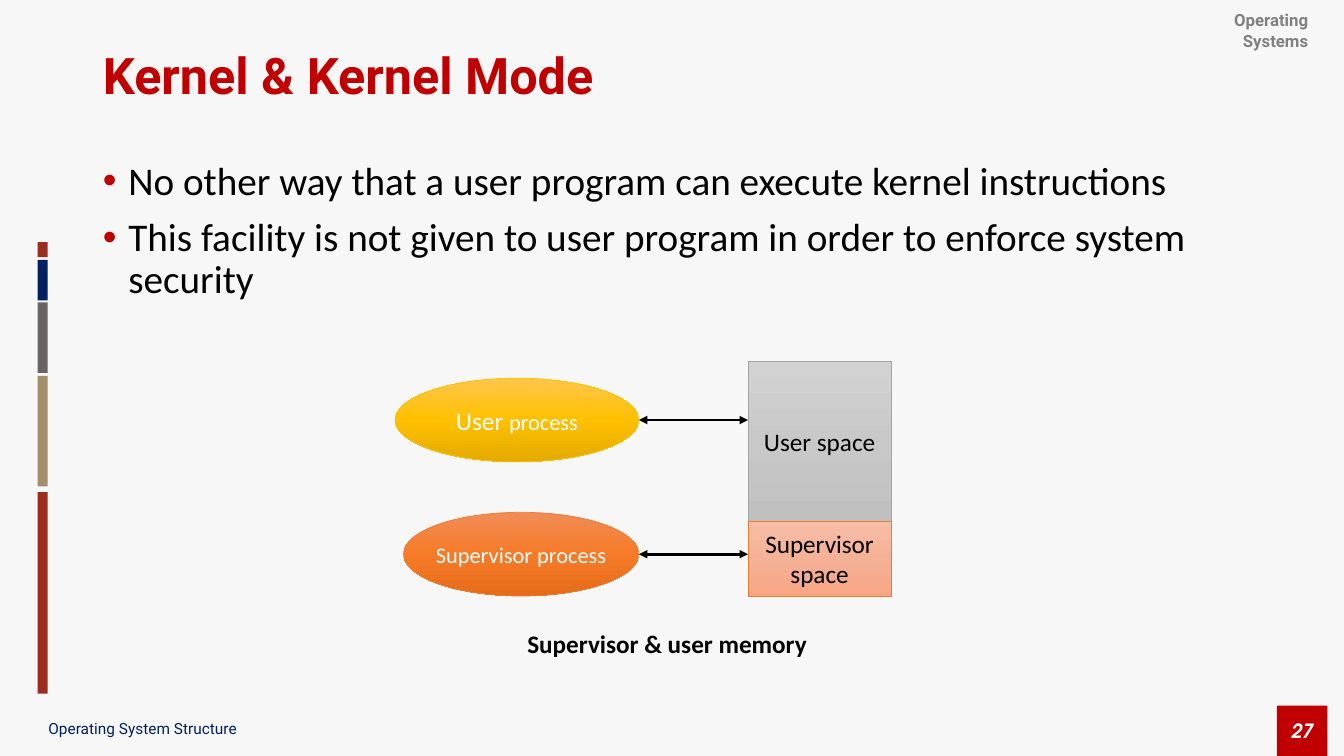
from dataclasses import dataclass

import pptx
import pptx.dml.color
import pptx.enum.shapes
import pptx.enum.text
import pptx.oxml.ns
import pptx.util
from lxml import etree

Cm = pptx.util.Cm
Pt = pptx.util.Pt
qn = pptx.oxml.ns.qn
Shape = pptx.enum.shapes.MSO_SHAPE
Align = pptx.enum.text.PP_ALIGN
Anchor = pptx.enum.text.MSO_ANCHOR


@dataclass(frozen=True)
class Theme:
    paper: str = "F7F7F7"
    ink: str = "000000"
    white: str = "FFFFFF"
    accent: str = "C00000"
    navy: str = "002060"
    muted: str = "808080"
    rust: str = "9B2D1F"
    sand: str = "A28E6A"
    stone: str = "696464"
    gray_line: str = "A5A5A5"
    orange_line: str = "ED7D31"
    gold_line: str = "FFC000"
    gray: tuple = ("D2D2D2", "C8C8C8", "C0C0C0")
    peach: tuple = ("F7BDA5", "F5B196", "F8A582")
    gold: tuple = ("FFC64B", "FFC000", "E3AB00")
    orange: tuple = ("F18C57", "F67B28", "E56C19")
    heading_font: str = "Roboto"
    body_font: str = "Calibri"
    number_font: str = "TeX Gyre Adventor"
    title: int = 36
    body: int = 28
    label: int = 18
    small_label: int = 16
    number: int = 14
    header: int = 12
    footer: int = 11


THEME = Theme()


def rgb(color):
    return pptx.dml.color.RGBColor.from_string(color)


def add_span(para, text, size, color, font=THEME.body_font, bold=False, italic=False):
    span = para.add_run()
    span.text = text
    span.font.size = Pt(size)
    span.font.name = font
    span.font.bold = bold
    span.font.italic = italic
    span.font.color.rgb = rgb(color)


def add_label(slide, box, text, size, color, align=Align.LEFT, anchor=Anchor.TOP, **style):
    frame = slide.shapes.add_textbox(*map(Cm, box)).text_frame
    frame.word_wrap = True
    frame.vertical_anchor = anchor
    frame.paragraphs[0].alignment = align
    add_span(frame.paragraphs[0], text, size, color, **style)


def add_block(slide, kind, box, color):
    block = slide.shapes.add_shape(kind, *map(Cm, box))
    block.shadow.inherit = False
    block.fill.solid()
    block.fill.fore_color.rgb = rgb(color)
    block.line.fill.background()
    return block


def add_gradient_block(slide, kind, box, colors, outline, lines, text_color):
    """Add a shape shaded from top to bottom; lines holds (text, size) runs per paragraph."""
    block = add_block(slide, kind, box, colors[0])
    block.fill.gradient()
    block.fill.gradient_angle = 270
    stops = block.element.spPr.find(".//" + qn("a:gsLst"))
    for stop in list(stops):
        stops.remove(stop)
    for position, color in zip((0, 50000, 100000), colors):
        stop = etree.SubElement(stops, qn("a:gs"), pos=str(position))
        etree.SubElement(stop, qn("a:srgbClr"), val=color)
    block.line.color.rgb = rgb(outline)
    block.line.width = Pt(0.5)

    frame = block.text_frame
    frame.word_wrap = False
    frame.vertical_anchor = Anchor.MIDDLE
    for index, runs in enumerate(lines):
        para = frame.add_paragraph() if index else frame.paragraphs[0]
        para.alignment = Align.CENTER
        for text, size in runs:
            add_span(para, text, size, text_color)


def add_double_arrow(slide, start, end, level):
    arrow = slide.shapes.add_connector(
        pptx.enum.shapes.MSO_CONNECTOR.STRAIGHT, Cm(start), Cm(level), Cm(end), Cm(level))
    arrow.line.color.rgb = rgb(THEME.ink)
    arrow.line.width = Pt(2)
    outline = arrow.element.spPr.find(qn("a:ln"))
    for tip in ("a:headEnd", "a:tailEnd"):
        etree.SubElement(outline, qn(tip), type="triangle")
    etree.SubElement(arrow.element.spPr, qn("a:effectLst"))


def prepare_placeholder(holder, box, anchor):
    holder.left, holder.top, holder.width, holder.height = map(Cm, box)
    frame = holder.text_frame
    frame.word_wrap = True
    frame.auto_size = pptx.enum.text.MSO_AUTO_SIZE.NONE
    frame.vertical_anchor = anchor
    return frame


def fill_title(slide, box, text):
    para = prepare_placeholder(slide.shapes.title, box, Anchor.MIDDLE).paragraphs[0]
    para.alignment = Align.LEFT
    para.line_spacing = 0.9
    add_span(para, text, THEME.title, THEME.accent, THEME.heading_font, bold=True)


def fill_bullets(slide, box, items):
    frame = prepare_placeholder(slide.placeholders[1], box, Anchor.TOP)
    for index, item in enumerate(items):
        para = frame.add_paragraph() if index else frame.paragraphs[0]
        para.line_spacing = 0.9
        para.space_before = Pt(10)
        add_span(para, item, THEME.body, THEME.ink)
    for properties in frame._txBody.iter(qn("a:pPr")):
        indent = Cm(0.64)
        properties.set("marL", str(indent))
        properties.set("indent", str(-indent))
        bullet_color = etree.SubElement(properties, qn("a:buClr"))
        etree.SubElement(bullet_color, qn("a:srgbClr"), val=THEME.accent)
        etree.SubElement(properties, qn("a:buFont"), typeface="Arial")
        etree.SubElement(properties, qn("a:buChar"), char="•")


def draw_side_bars(slide, box):
    left, top, width, _ = box
    bars = ((0, 0.38, THEME.rust), (0.45, 1.02, THEME.navy), (1.52, 1.78, THEME.stone),
            (3.37, 2.79, THEME.sand), (6.3, 5.08, THEME.rust))
    for offset, height, color in bars:
        add_block(slide, Shape.RECTANGLE, (left, top + offset, width, height), color)


def draw_page_number(slide, box, number):
    frame = add_block(slide, Shape.RECTANGLE, box, THEME.accent).text_frame
    frame.margin_left = frame.margin_right = 0
    frame.vertical_anchor = Anchor.MIDDLE
    frame.paragraphs[0].alignment = Align.CENTER
    add_span(frame.paragraphs[0], number, THEME.number, THEME.white,
             THEME.number_font, bold=True, italic=True)


def draw_memory_diagram(slide, box):
    """Link each process to its memory space, with a caption below."""
    left, top, width, height = box
    memory_width, user_height, supervisor_height = 3.61, 4.03, 1.9
    memory_left = left + width - memory_width
    add_gradient_block(
        slide, Shape.RECTANGLE, (memory_left, top, memory_width, user_height),
        THEME.gray, THEME.gray_line, [[("User space", THEME.label)]], THEME.ink)
    add_gradient_block(
        slide, Shape.RECTANGLE,
        (memory_left, top + user_height, memory_width, supervisor_height),
        THEME.peach, THEME.orange_line,
        [[("Supervisor", THEME.label)], [("space", THEME.label)]], THEME.ink)

    process_right, process_height = left + 6.14, 2.11
    processes = (
        (0.43, 6.14, THEME.gold, THEME.gold_line,
         [("User ", THEME.label), ("process", THEME.small_label)]),
        (3.81, 5.93, THEME.orange, THEME.orange_line,
         [("Supervisor process", THEME.small_label)]),
    )
    for offset, process_width, colors, outline, runs in processes:
        process_box = (process_right - process_width, top + offset, process_width, process_height)
        add_gradient_block(slide, Shape.OVAL, process_box, colors, outline, [runs], THEME.white)
        add_double_arrow(slide, process_right, memory_left, top + offset + process_height / 2)

    caption_height = 1.02
    add_label(slide, (left + 2.31, top + height - caption_height, 9.09, caption_height),
              "Supervisor & user memory", THEME.label, THEME.ink, Align.CENTER, bold=True)


def build_kernel_slide(deck):
    slide = deck.slides.add_slide(deck.slide_layouts[1])
    slide.background.fill.solid()
    slide.background.fill.fore_color.rgb = rgb(THEME.paper)
    add_label(slide, (30.42, 0.13, 2.8, 1.27), "Operating Systems", THEME.header, THEME.muted,
              Align.RIGHT, font=THEME.heading_font, bold=True)
    draw_page_number(slide, (32.18, 17.78, 1.27, 1.27), "27")
    add_label(slide, (0.97, 17.93, 11.18, 0.84), "Operating System Structure", THEME.footer,
              THEME.navy, anchor=Anchor.MIDDLE, font=THEME.heading_font)
    draw_side_bars(slide, (0.95, 6.1, 0.25, 11.38))
    fill_title(slide, (2.34, 0.13, 29.21, 3.68), "Kernel & Kernel Mode")
    fill_bullets(slide, (2.34, 3.94, 29.21, 13.72), (
        "No other way that a user program can execute kernel instructions",
        "This facility is not given to user program in order to enforce system security"))
    draw_memory_diagram(slide, (9.96, 9.1, 12.5, 7.62))


def main():
    deck = pptx.Presentation()
    deck.slide_width, deck.slide_height = Cm(33.87), Cm(19.05)
    build_kernel_slide(deck)
    deck.save("out.pptx")


if __name__ == "__main__":
    main()
